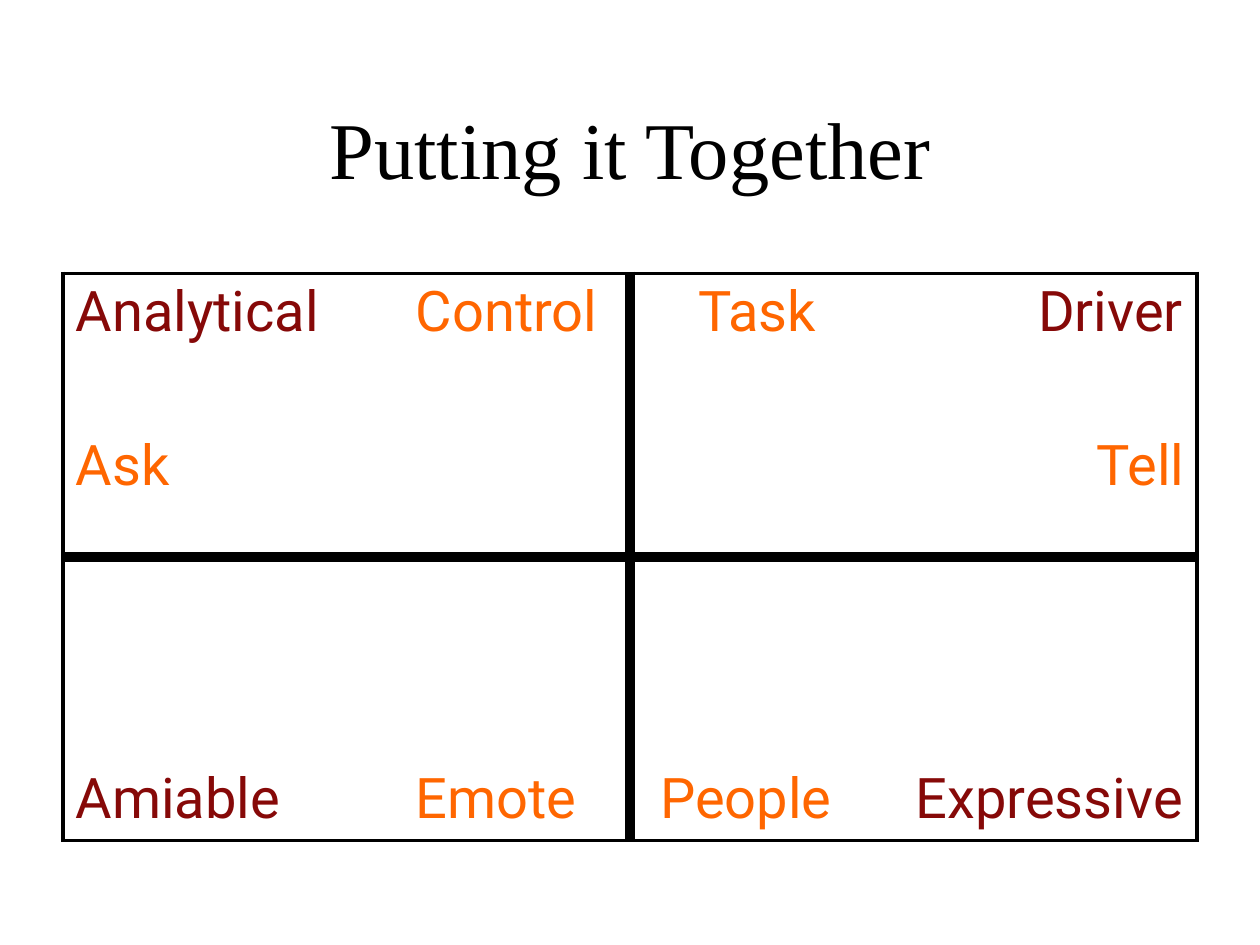
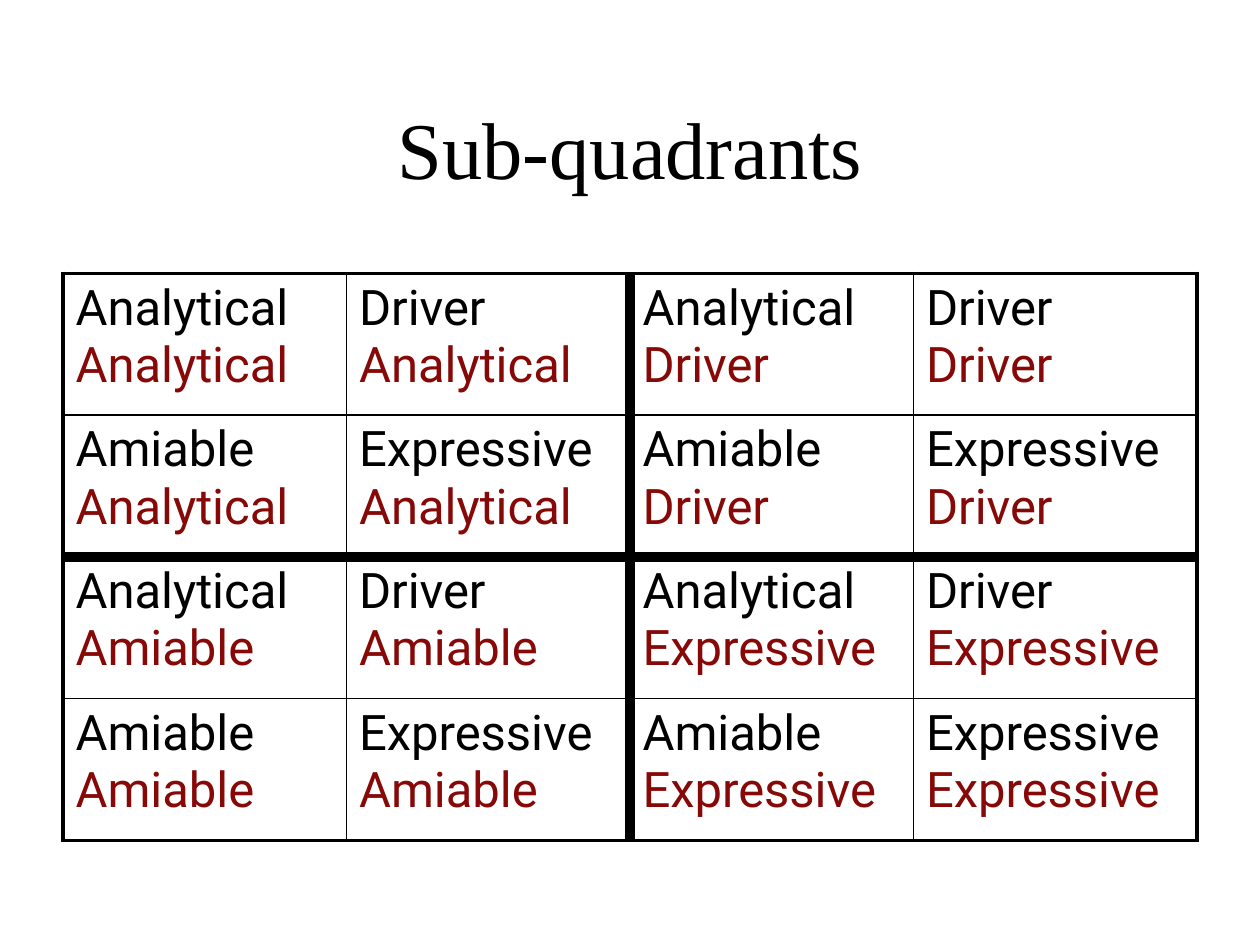
from dataclasses import dataclass
from itertools import product

from lxml.etree import SubElement
from pptx import Presentation
from pptx.dml.color import RGBColor as Rgb
from pptx.enum.text import MSO_ANCHOR as Anchor, PP_ALIGN as Align
from pptx.oxml.ns import qn
from pptx.util import Inches, Pt


@dataclass(frozen=True)
class Theme:
    ink: str = "000000"
    style: str = "860908"
    trait: str = "FF6600"
    serif: str = "Times New Roman"
    sans: str = "Roboto"
    title: int = 46
    large: int = 32
    small: int = 28
    rim: float = 2.25
    thin: float = 1
    bold: float = 6


LOOK = Theme()
WIDE, HIGH = Inches(10), Inches(7.5)
SIDE = 0.05
SPAN = 1 - 2 * SIDE
STYLES = (("Analytical", "Driver"), ("Amiable", "Expressive"))


def add_run(para, text, color, size, face=LOOK.sans):
    run = para.add_run()
    run.text = text
    run.font.name = face
    run.font.size = Pt(size)
    run.font.color.rgb = Rgb.from_string(color)


def add_tabs(para, stops):
    """Add (inches, kind) tab stops, where kind is l or r."""
    tabs = SubElement(para._p.get_or_add_pPr(), qn("a:tabLst"))
    for place, kind in stops:
        SubElement(tabs, qn("a:tab"), pos=str(Inches(place)), algn=kind)


def add_title(slide, text):
    box = slide.shapes.add_textbox(
        int(WIDE * SIDE), Inches(0.42), int(WIDE * SPAN), int(HIGH * 0.2))
    frame = box.text_frame
    frame.word_wrap = True
    frame.vertical_anchor = Anchor.MIDDLE
    para = frame.paragraphs[0]
    para.alignment = Align.CENTER
    add_run(para, text, LOOK.ink, LOOK.title, LOOK.serif)


def edge(place, count):
    """Weight of a grid line: rim outside, bold on the axis, thin elsewhere."""
    if place in (0, count):
        return LOOK.rim
    return LOOK.bold if place * 2 == count else LOOK.thin


def add_edges(cell, row, col, count):
    props = cell._tc.get_or_add_tcPr()
    sides = {"L": col, "R": col + 1, "T": row, "B": row + 1}
    for side, place in sides.items():
        line = SubElement(props, qn(f"a:ln{side}"), w=str(Pt(edge(place, count))))
        fill = SubElement(line, qn("a:solidFill"))
        SubElement(fill, qn("a:srgbClr"), val=LOOK.ink)
    cell.fill.background()


def add_grid(slide, count):
    table = slide.shapes.add_table(
        count, count, int(WIDE * SIDE), Inches(2.17),
        int(WIDE * SPAN), int(HIGH * 0.6)).table
    table.first_row = table.horz_banding = False
    for row, col in product(range(count), repeat=2):
        add_edges(table.cell(row, col), row, col, count)
    return table


def fill_quad(cell, row, col, trait):
    """Put a style in the outer corner and a trait beside the axis."""
    para = cell.text_frame.paragraphs[0]
    style = STYLES[row][col], LOOK.style
    trait = trait, LOOK.trait
    if col:
        add_tabs(para, [((0.44, 0.14)[row], "l"), (4.29, "r")])
        add_run(para, "\t" + trait[0], trait[1], LOOK.large)
        add_run(para, "\t" + style[0], style[1], LOOK.large)
    else:
        add_tabs(para, [(2.7, "l")])
        add_run(para, *style, LOOK.large)
        add_run(para, "\t" + trait[0], trait[1], LOOK.large)
    if row:
        cell.vertical_anchor = Anchor.BOTTOM
        cell.margin_bottom = Inches(0.07)


def add_pole(cell, text, align):
    para = cell.text_frame.add_paragraph()
    para.alignment = align
    para.space_before = Pt(50)
    add_run(para, text, LOOK.trait, LOOK.large)


def draw_quads(slide):
    add_title(slide, "Putting it Together")
    table = add_grid(slide, 2)
    traits = (("Control", "Task"), ("Emote", "People"))
    for row, col in product(range(2), repeat=2):
        fill_quad(table.cell(row, col), row, col, traits[row][col])
    add_pole(table.cell(0, 0), "Ask", Align.LEFT)
    add_pole(table.cell(0, 1), "Tell", Align.RIGHT)


def draw_subs(slide):
    add_title(slide, "Sub-quadrants")
    table = add_grid(slide, 4)
    for row, col in product(range(4), repeat=2):
        para = table.cell(row, col).text_frame.paragraphs[0]
        add_run(para, STYLES[row % 2][col % 2] + " ", LOOK.ink, LOOK.small)
        add_run(para, STYLES[row // 2][col // 2], LOOK.style, LOOK.small)


def main():
    deck = Presentation()
    deck.slide_width, deck.slide_height = WIDE, HIGH
    for draw in (draw_quads, draw_subs):
        draw(deck.slides.add_slide(deck.slide_layouts[6]))
    deck.save("out.pptx")


if __name__ == "__main__":
    main()
